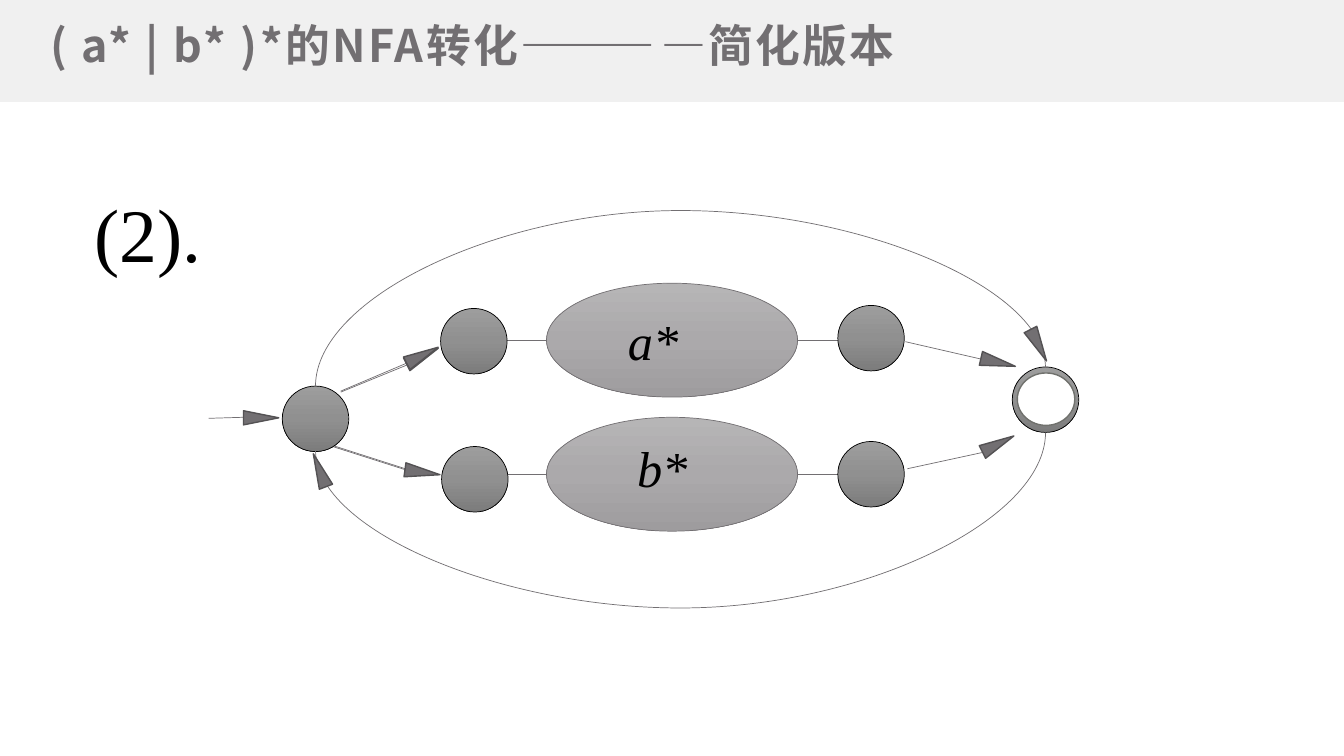
from copy import deepcopy
from dataclasses import dataclass

from lxml.etree import SubElement
from pptx import Presentation
from pptx.dml.color import RGBColor
from pptx.enum.shapes import MSO_CONNECTOR, MSO_SHAPE
from pptx.enum.text import MSO_ANCHOR
from pptx.oxml.ns import qn
from pptx.util import Inches, Pt

GRAY = RGBColor(0x72, 0x6F, 0x72)
ARROW_EDGE = RGBColor(0x54, 0x52, 0x54)
RING_EDGE = RGBColor(0x70, 0x71, 0x6D)
BAND = RGBColor(0xF0, 0xF0, 0xF0)
BLACK = RGBColor(0, 0, 0)
WHITE = RGBColor(0xFF, 0xFF, 0xFF)
STATE_SHADES = [RGBColor(0x9D, 0x9D, 0x9D), RGBColor(0x90, 0x90, 0x90), RGBColor(0x7C, 0x7C, 0x7C)]
PART_SHADES = [RGBColor(0xB6, 0xB5, 0xB6), RGBColor(0xAB, 0xA9, 0xAB), RGBColor(0x9E, 0x9C, 0x9E)]

TITLE_FONT = "Noto Sans CJK SC"
BODY_FONT = "Times New Roman"
STATE_SIZE = (0.66, 0.65)
PART_SIZE = (2.49, 1.13)
ARROW_SIZE = (0.14, 0.35)


@dataclass
class Box:
    left: float
    top: float
    width: float
    height: float

    def inner(self, x, y, width, height):
        """Return a box whose position is given relative to this one."""
        return Box(self.left + x, self.top + y, width, height)

    def lengths(self):
        return [Inches(value) for value in (self.left, self.top, self.width, self.height)]


def add_solid(slide, kind, box, color, edge=None, edge_width=1):
    shape = slide.shapes.add_shape(kind, *box.lengths())
    shape.shadow.inherit = False
    shape.fill.solid()
    shape.fill.fore_color.rgb = color
    if edge is None:
        shape.line.fill.background()
    else:
        shape.line.color.rgb = edge
        shape.line.width = Pt(edge_width)
    return shape


def add_shaded_ellipse(slide, box, shades, edge):
    """Add an ellipse shaded from top to bottom through three colours."""
    shape = add_solid(slide, MSO_SHAPE.OVAL, box, WHITE, edge, 0.5)
    shape.fill.gradient()
    shape.fill.gradient_angle = 270
    stop_list = shape._element.spPr.find(".//" + qn("a:gsLst"))
    stop_list.insert(1, deepcopy(stop_list[0]))
    for stop, color, position in zip(shape.fill.gradient_stops, shades, (0, 0.5, 1)):
        stop.color.rgb = color
        stop.position = position


def add_line(slide, box, start, end, kind=MSO_CONNECTOR.STRAIGHT):
    points = (box.left + start[0], box.top + start[1], box.left + end[0], box.top + end[1])
    connector = slide.shapes.add_connector(kind, *[Inches(value) for value in points])
    connector.line.color.rgb = GRAY
    connector.line.width = Pt(0.5)
    SubElement(connector._element.spPr, qn("a:effectLst"))
    return connector


def add_loop(slide, box, top, degrees):
    """Add a wide curve, drawn as a tall narrow connector and then turned."""
    connector = add_line(slide, box, (4.84, top + 7.24), (4.66, top), MSO_CONNECTOR.CURVE)
    properties = connector._element.spPr
    properties.find(qn("a:xfrm")).set("rot", str(degrees * 60000))
    geometry = properties.find(qn("a:prstGeom"))
    adjustments = geometry.find(qn("a:avLst"))
    if adjustments is None:
        adjustments = SubElement(geometry, qn("a:avLst"))
    SubElement(adjustments, qn("a:gd"), name="adj1", fmla="val -868200")


def add_text(slide, box, text, size, color=BLACK, font=BODY_FONT):
    text_box = slide.shapes.add_textbox(*box.lengths())
    frame = text_box.text_frame
    frame.word_wrap = True
    frame.text = text
    run = frame.paragraphs[0].runs[0]
    run.font.name = font
    run.font.size = Pt(size)
    run.font.color.rgb = color
    SubElement(run.font._element, qn("a:ea"), typeface=font)
    return frame


def add_title_band(slide, box, title):
    add_solid(slide, MSO_SHAPE.RECTANGLE, box, BAND)
    frame = add_text(slide, box.inner(0.43, 0.11, 12.33, 0.67), title, 32, GRAY, TITLE_FONT)
    frame.vertical_anchor = MSO_ANCHOR.MIDDLE
    frame.margin_left = frame.margin_right = Inches(0.07)
    frame.margin_top = frame.margin_bottom = Inches(0.03)
    font = frame.paragraphs[0].runs[0].font
    font.bold = True
    font._element.set("spc", "160")


def add_automaton(slide, box):
    edges = [
        ((0.07, 2.15), (0.41, 2.14)),
        ((1.38, 1.89), (2.04, 1.62)),
        ((1.38, 1.88), (2.04, 1.6)),
        ((1.3, 2.43), (2.02, 2.66)),
        ((1.3, 2.42), (2.02, 2.65)),
        ((3.03, 1.38), (6.31, 1.38)),
        ((3.03, 2.71), (6.31, 2.71)),
        ((6.98, 1.39), (7.72, 1.56)),
        ((7, 2.65), (7.74, 2.49)),
    ]
    arrowheads = [
        (0.52, 1.97, 90),
        (2.12, 1.36, 63),
        (2.12, 1.35, 63),
        (2.12, 2.51, 98),
        (7.83, 1.42, 103),
        (7.83, 2.23, 63),
        (8.23, 1.25, 153),
        (1.1, 2.49, 339),
    ]
    states = [(0.8, 1.83), (2.38, 2.43), (2.37, 1.06), (6.31, 2.38), (6.31, 1.03), (8.04, 1.64)]
    parts = [("a*", 0.81, 4.13, 1.03), ("b*", 2.14, 4.22, 2.29)]

    for start, end in edges:
        add_line(slide, box, start, end)
    for x, y in states:
        add_shaded_ellipse(slide, box.inner(x, y, *STATE_SIZE), STATE_SHADES, BLACK)
    add_solid(slide, MSO_SHAPE.OVAL, box.inner(8.09, 1.7, 0.57, 0.52), WHITE, RING_EDGE)
    add_loop(slide, box, -1.88, 270)
    add_loop(slide, box, -1.24, 90)
    for x, y, degrees in arrowheads:
        arrowhead = add_solid(
            slide, MSO_SHAPE.ISOSCELES_TRIANGLE, box.inner(x, y, *ARROW_SIZE), GRAY, ARROW_EDGE
        )
        arrowhead.rotation = degrees
    for label, part_top, label_left, label_top in parts:
        add_shaded_ellipse(slide, box.inner(3.42, part_top, *PART_SIZE), PART_SHADES, GRAY)
        frame = add_text(slide, box.inner(label_left, label_top, 2.87, 0.71), label, 36)
        frame.paragraphs[0].runs[0].font.italic = True


def main():
    presentation = Presentation()
    presentation.slide_width = Inches(13.33)
    presentation.slide_height = Inches(7.5)
    slide = presentation.slides.add_slide(presentation.slide_layouts[6])
    add_title_band(slide, Box(0, 0, 13.33, 1.01), "( a* | b* )*的NFA转化————简化版本")
    add_text(slide, Box(0.84, 1.8, 3.17, 1.01), "(2).", 54)
    add_automaton(slide, Box(2, 2, 8.7, 4.1))
    presentation.save("out.pptx")


if __name__ == "__main__":
    main()
